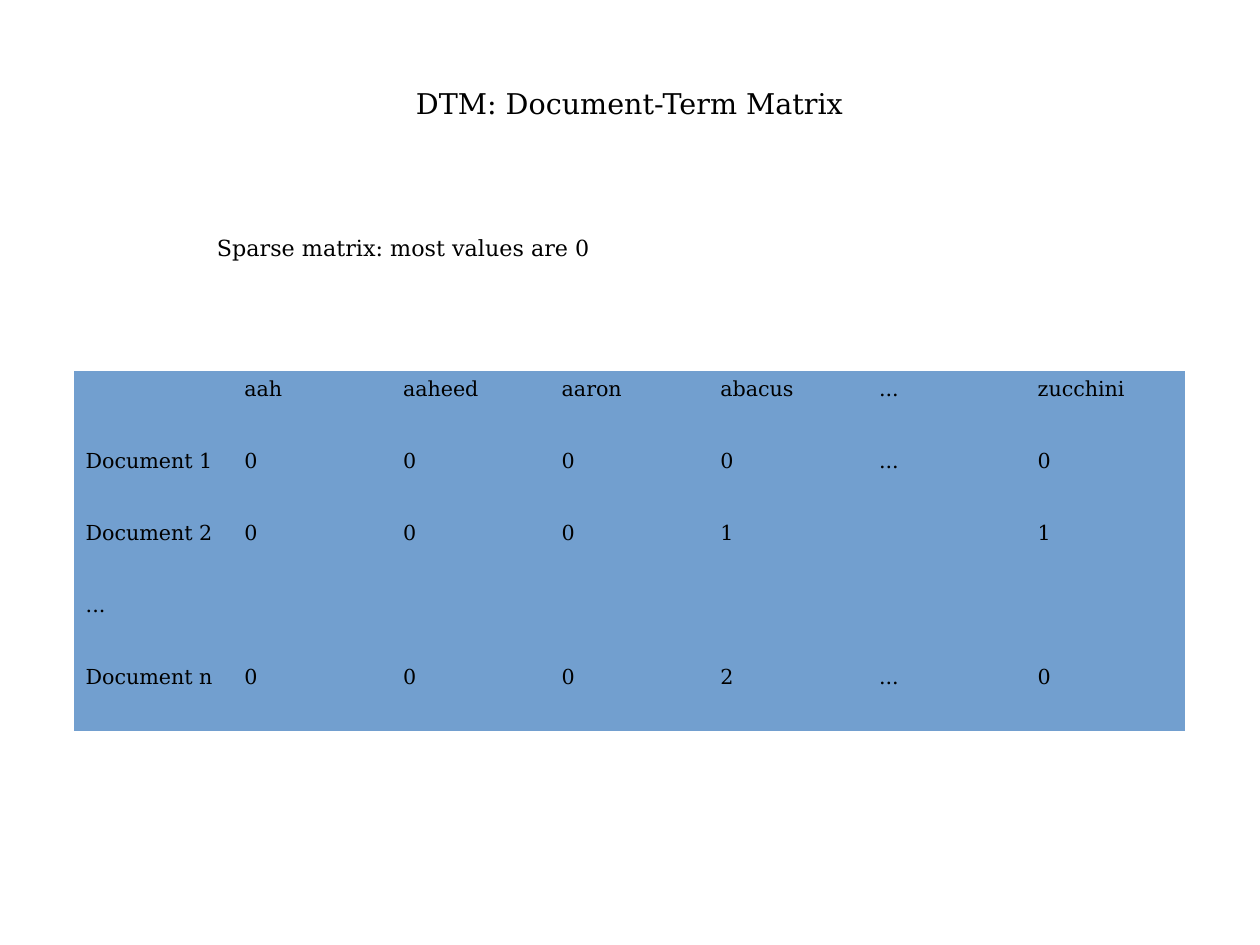
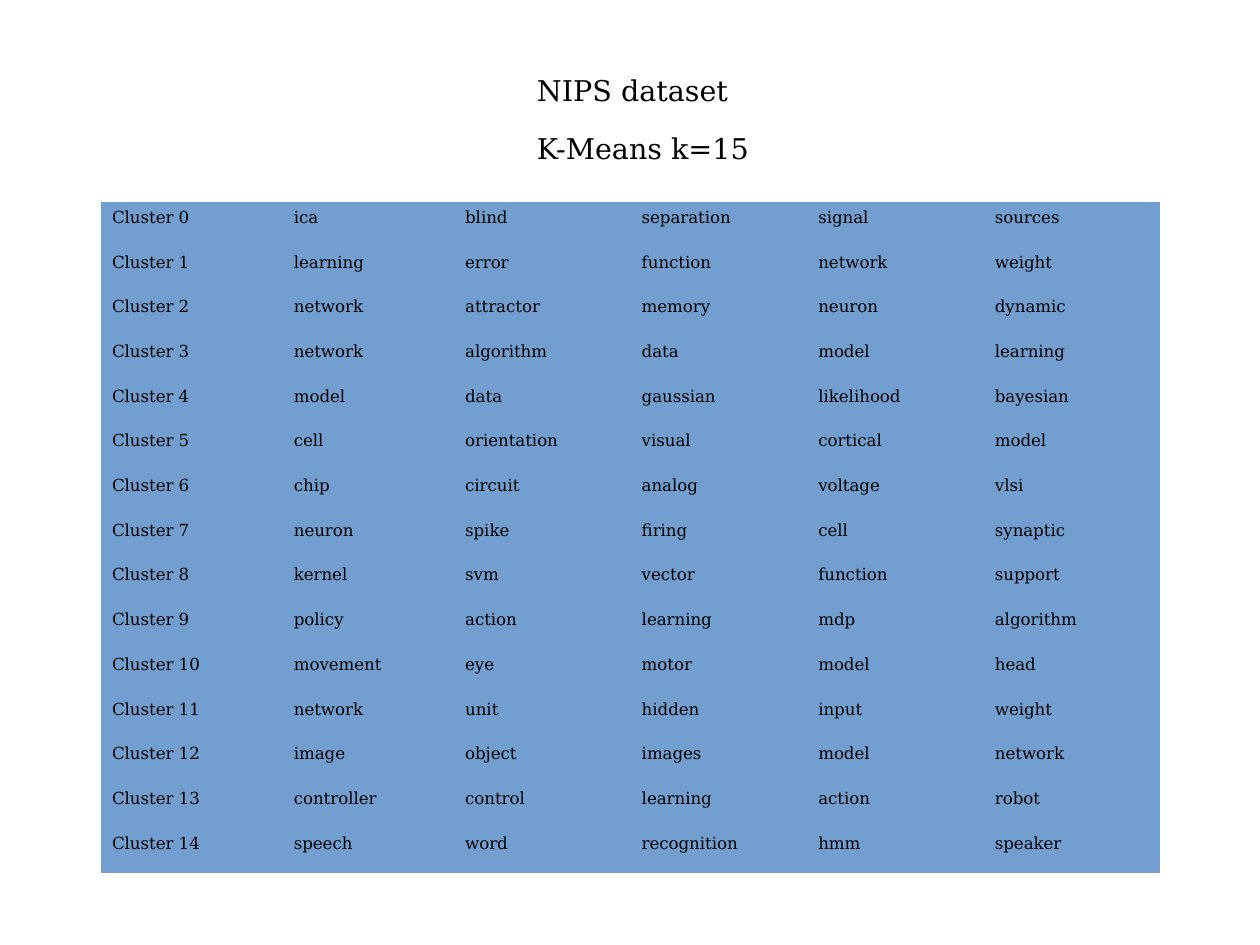
from pptx import Presentation
from pptx.dml.color import RGBColor
from pptx.enum.text import MSO_AUTO_SIZE as Fit
from pptx.oxml.ns import qn
from pptx.util import Inches, Pt

FONT = "DejaVu Serif"
BLACK = RGBColor(0x00, 0x00, 0x00)
BLUE = RGBColor(0x72, 0x9F, 0xCF)
PLAIN = "{2D5ABB26-0587-4C30-8999-92F81FD0307C}"  # table style: no grid
TITLE, NOTE = 18, 14
CM = 1 / 2.54  # one centimetre in inches


def write(frame, text, size):
    run = frame.paragraphs[0].add_run()
    run.text = text
    look = {"name": FONT, "size": Pt(size)}
    for key, value in look.items():
        setattr(run.font, key, value)
    run.font.color.rgb = BLACK


def add_grid(slide, rows, box, size):
    """Add a plain blue table with equal rows and columns."""
    shape = slide.shapes.add_table(len(rows), len(rows[0]), *map(Inches, box))
    table = shape.table
    table.first_row = table.horz_banding = False
    table._tbl.tblPr.find(qn("a:tableStyleId")).text = PLAIN
    for r, row in enumerate(rows):
        for c, text in enumerate(row):
            cell = table.cell(r, c)
            cell.fill.solid()
            cell.fill.fore_color.rgb = BLUE
            if text:
                write(cell.text_frame, text, size)


terms = [
    ["", "aah", "aaheed", "aaron", "abacus", "...", "zucchini"],
    ["Document 1", "0", "0", "0", "0", "...", "0"],
    ["Document 2", "0", "0", "0", "1", "", "1"],
    ["...", "", "", "", "", "", ""],
    ["Document n", "0", "0", "0", "2", "...", "0"],
]

words = """ica blind separation signal sources
learning error function network weight
network attractor memory neuron dynamic
network algorithm data model learning
model data gaussian likelihood bayesian
cell orientation visual cortical model
chip circuit analog voltage vlsi
neuron spike firing cell synaptic
kernel svm vector function support
policy action learning mdp algorithm
movement eye motor model head
network unit hidden input weight
image object images model network
controller control learning action robot
speech word recognition hmm speaker"""
groups = []
for n, line in enumerate(words.splitlines()):
    first, *rest = line.split()
    groups.append([f"Cluster {n}", f" {first}", *rest])

# Each slide: labels (text, size, box), then table rows, box, size
pages = [
    (
        [
            ("DTM: Document-Term Matrix", TITLE, (3.54, 0.7, 3.95, 0.39)),
            ("Sparse matrix: most values are 0", NOTE, (1.8, 2, 3.5, 0.33)),
        ],
        (terms, (0.65, 3.25, 9.72, 3.15), 13),
    ),
    (
        [
            ("K-Means k=15", TITLE, (4.6, 1.1, 2.1, 0.39)),
            ("NIPS dataset", TITLE, (4.6, 0.59, 1.9, 0.39)),
        ],
        (groups, (0.88, 1.77, 9.27, 5.87), 10.5),
    ),
]

deck = Presentation()
deck.slide_width, deck.slide_height = Inches(28 * CM), Inches(21 * CM)
for labels, grid in pages:
    slide = deck.slides.add_slide(deck.slide_layouts[6])
    for text, size, box in labels:
        frame = slide.shapes.add_textbox(*map(Inches, box)).text_frame
        for key, value in {"word_wrap": False, "auto_size": Fit.SHAPE_TO_FIT_TEXT}.items():
            setattr(frame, key, value)
        write(frame, text, size)
    add_grid(slide, *grid)

deck.save("out.pptx")
